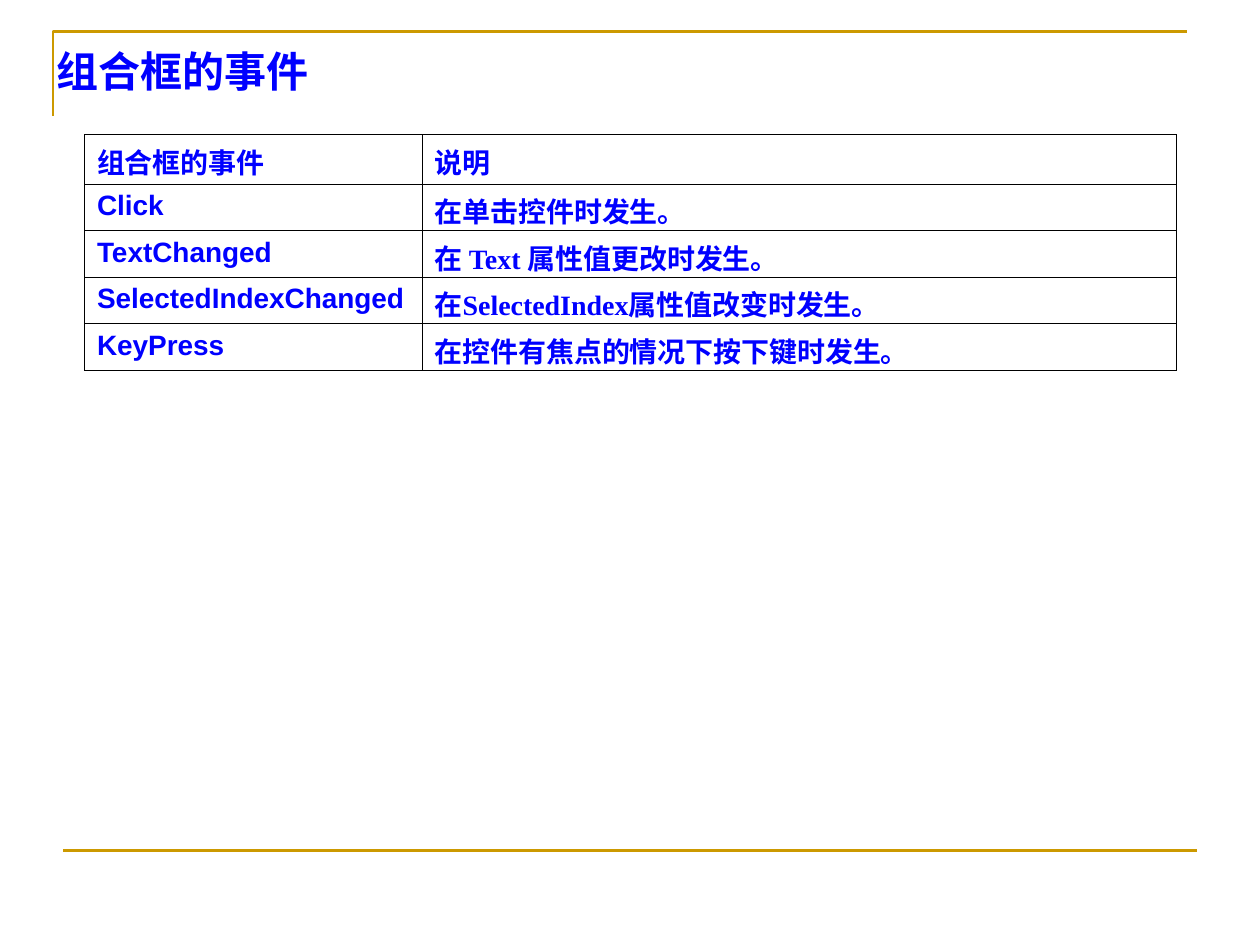
from typing import NamedTuple

from lxml.etree import SubElement
from pptx import Presentation
from pptx.dml.color import RGBColor
from pptx.enum.shapes import MSO_CONNECTOR
from pptx.enum.text import MSO_ANCHOR
from pptx.oxml.ns import qn
from pptx.util import Inches, Pt

GOLD = "CC9900"
BLUE = "0000FF"
BLACK = "000000"
SERIF = "Times New Roman"
SANS = "Arial"


class Event(NamedTuple):
    name: str
    description: str
    name_font: str = SANS


EVENTS = [
    Event("组合框的事件", "说明", SERIF),
    Event("Click", "在单击控件时发生。"),
    Event("TextChanged", "在 Text 属性值更改时发生。"),
    Event("SelectedIndexChanged", "在SelectedIndex属性值改变时发生。"),
    Event("KeyPress", "在控件有焦点的情况下按下键时发生。"),
]


def color(value: str) -> RGBColor:
    return RGBColor.from_string(value)


def write(text_frame, text: str, font_name: str, size: int) -> None:
    text_frame.text = text
    font = text_frame.paragraphs[0].runs[0].font
    font.name = font_name
    font.size = Pt(size)
    font.bold = True
    font.color.rgb = color(BLUE)


def style_rule(line) -> None:
    line.color.rgb = color(GOLD)
    line.width = Pt(1.5)


def draw_rules(slide) -> None:
    builder = slide.shapes.build_freeform(Inches(0.42), Inches(0.92))
    builder.add_line_segments(
        [(Inches(0.42), Inches(0.25)), (Inches(9.42), Inches(0.25))], close=False
    )
    corner = builder.convert_to_shape()
    corner.shadow.inherit = False
    corner.fill.background()
    style_rule(corner.line)

    footer = slide.shapes.add_connector(
        MSO_CONNECTOR.STRAIGHT, Inches(0.5), Inches(6.75), Inches(9.5), Inches(6.75)
    )
    SubElement(footer._element.spPr, qn("a:effectLst"))
    style_rule(footer.line)
    footer._element.spPr.append(footer._element.spPr.find(qn("a:effectLst")))


def draw_title(slide) -> None:
    title = slide.shapes.add_textbox(
        Inches(0.35), Inches(0.28), Inches(8.43), Inches(0.57)
    )
    frame = title.text_frame
    frame.word_wrap = True
    frame.vertical_anchor = MSO_ANCHOR.MIDDLE
    frame.margin_top = frame.margin_bottom = Inches(0.08)
    write(frame, "组合框的事件", SERIF, 24)


def add_borders(cell) -> None:
    properties = cell._tc.get_or_add_tcPr()
    for position, side in enumerate(("lnL", "lnR", "lnT", "lnB")):
        border = SubElement(properties, qn(f"a:{side}"), w=str(Pt(0.45)))
        fill = SubElement(border, qn("a:solidFill"))
        SubElement(fill, qn("a:srgbClr"), val=BLACK)
        properties.insert(position, border)


def draw_events(slide, events: list[Event]) -> None:
    table = slide.shapes.add_table(
        len(events), 2, Inches(0.67), Inches(1.07), Inches(8.67), Inches(1.87)
    ).table
    table.first_row = False
    table.horz_banding = False
    for column, width in zip(table.columns, (2.68, 5.99)):
        column.width = Inches(width)
    for index, event in enumerate(events):
        table.rows[index].height = Inches(0.37 if index else 0.39)
        contents = ((event.name, event.name_font), (event.description, SERIF))
        for cell, (text, font_name) in zip(table.rows[index].cells, contents):
            cell.margin_bottom = Inches(0)
            cell.fill.background()
            add_borders(cell)
            write(cell.text_frame, text, font_name, 16)


def main() -> None:
    presentation = Presentation()
    presentation.slide_width = Inches(10)
    presentation.slide_height = Inches(7.5)
    slide = presentation.slides.add_slide(presentation.slide_layouts[6])
    draw_rules(slide)
    draw_title(slide)
    draw_events(slide, EVENTS)
    presentation.save("out.pptx")


if __name__ == "__main__":
    main()
